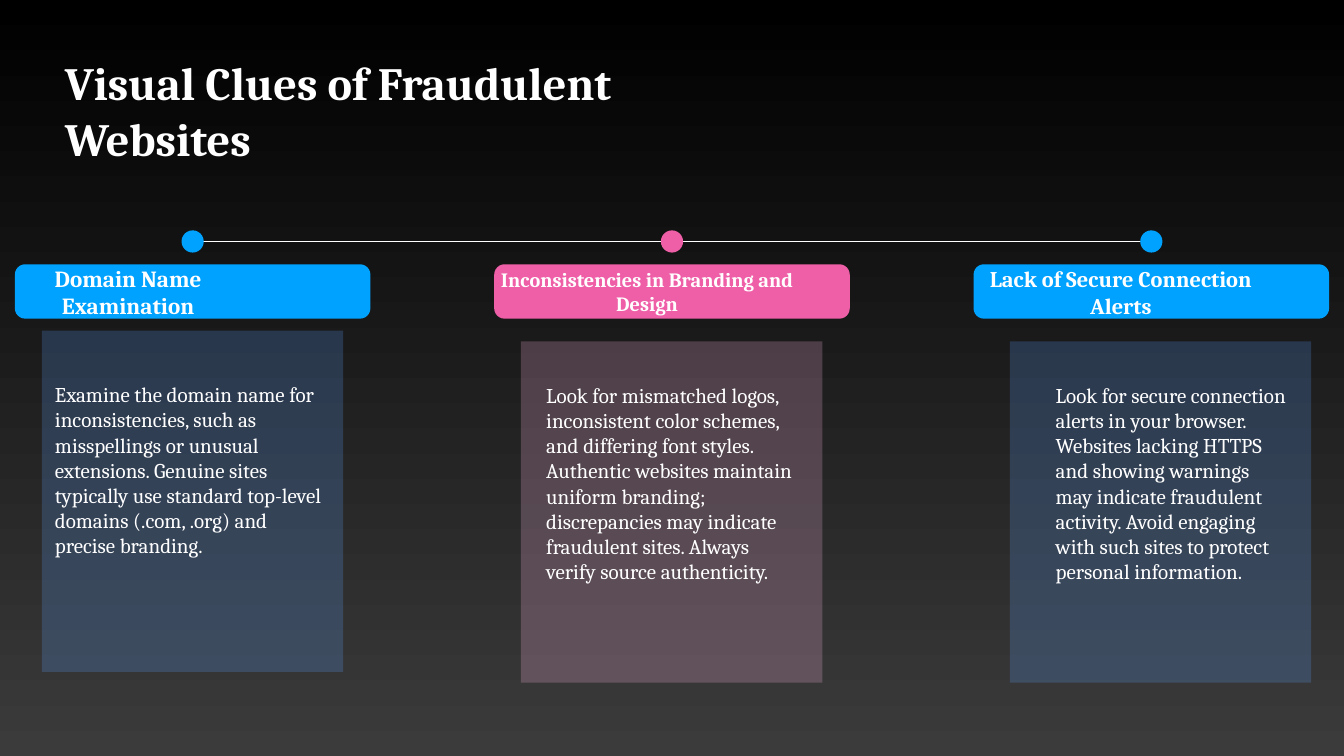
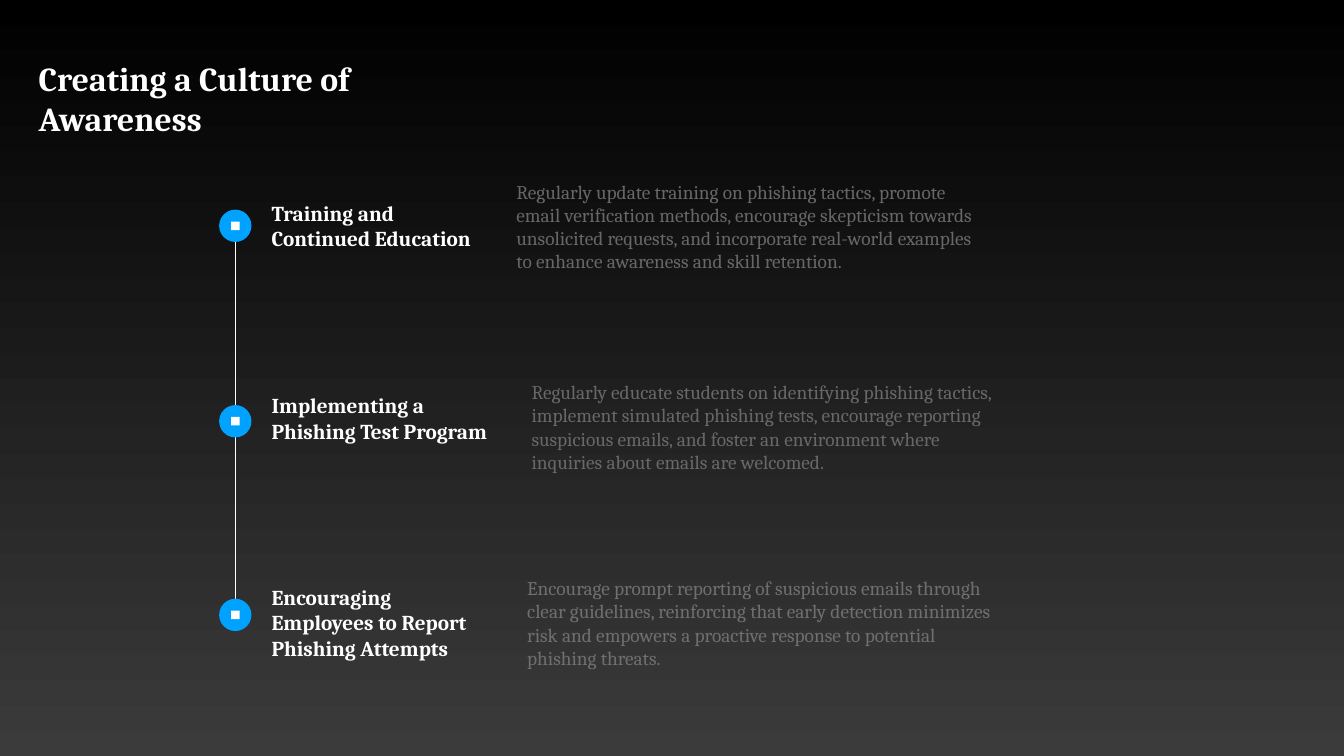
from lxml.etree import SubElement
from pptx import Presentation
from pptx.dml.color import RGBColor
from pptx.enum.shapes import MSO_CONNECTOR, MSO_SHAPE
from pptx.enum.text import MSO_ANCHOR, MSO_AUTO_SIZE, PP_ALIGN
from pptx.oxml.ns import qn
from pptx.util import Cm, Pt

COLOURS = {
    "black": "000000", "charcoal": "3B3B3B", "white": "FFFFFF",
    "blue": "00A2FF", "pink": "EF5FA8",
    "pale blue": "62A2FF", "pale pink": "FFBBE6",
    "grey 1": "676767", "grey 2": "686868", "grey 3": "6F6F6F",
}
RGB = {name: RGBColor.from_string(value) for name, value in COLOURS.items()}
FONT = "Cambria"


def write(box, place, text, size, before, colour="white", bold=False,
          align=PP_ALIGN.LEFT, insets=(0.2, 0.2)):
    """Place a text box or title and format its single paragraph."""
    box.left, box.top, box.width, box.height = [Cm(value) for value in place]
    frame = box.text_frame
    frame.text = text
    frame.word_wrap = True
    frame.auto_size = MSO_AUTO_SIZE.SHAPE_TO_FIT_TEXT
    frame.vertical_anchor = MSO_ANCHOR.MIDDLE
    frame.margin_left, frame.margin_right = [Cm(value) for value in insets]
    frame.margin_top = frame.margin_bottom = Cm(0.2)
    para = frame.paragraphs[0]
    para.alignment = align
    para.space_before = Pt(before)
    span = para.runs[0]
    span.font.name = FONT
    span.font.size = Pt(size)
    span.font.bold = bold
    span.font.color.rgb = RGB[colour]


def draw(page, kind, place, colour, opacity=100):
    """Add a flat filled shape, or a thin line when kind is a connector."""
    lengths = [Cm(value) for value in place]
    if isinstance(kind, MSO_CONNECTOR):
        line = page.shapes.add_connector(kind, *lengths)
        line.line.color.rgb = RGB[colour]
        line.line.width = Pt(1)
        SubElement(line._element.spPr, qn("a:effectLst"))
        return line
    shape = page.shapes.add_shape(kind, *lengths)
    shape.shadow.inherit = False
    shape.line.fill.background()
    shape.fill.solid()
    shape.fill.fore_color.rgb = RGB[colour]
    if opacity < 100:
        tint = shape._element.spPr.find(qn("a:solidFill"))[0]
        SubElement(tint, qn("a:alpha")).set("val", str(opacity * 1000))
    return shape


deck = Presentation()
deck.slide_width, deck.slide_height = Cm(67.74), Cm(38.1)
layout = deck.slide_layouts[5]

# Shared background: black fading down to charcoal
backdrop = deck.slide_master.background.fill
backdrop.gradient()
backdrop.gradient_angle = 270
for stop, colour, position in zip(backdrop.gradient_stops, ("black", "charcoal"), (0, 1)):
    stop.color.rgb = RGB[colour]
    stop.position = position

# Slide 1: three clues on a horizontal timeline
page = deck.slides.add_slide(layout)
write(page.shapes.title, (3.07, 3.94, 36.53, 3.23),
      "Visual Clues of Fraudulent Websites", 66, 39, bold=True)
draw(page, MSO_CONNECTOR.STRAIGHT, (9.88, 12.18, 57.86, 12.18), "white")

# Heading, its width, height, right inset, size and spacing; colours;
# panel corner; body place; body
clues = [
    ("Domain Name Examination", 14.27, 1.8, 6.5, 33, 24, "blue", "pale blue",
     (2.11, 16.66), (2.57, 18.92, 14.27, 9.53),
     "Examine the domain name for inconsistencies, such as misspellings or unusual "
     "extensions. Genuine sites typically use standard top-level domains (.com, .org) "
     "and precise branding."),
    ("Inconsistencies in Branding and Design", 17.6, 1.63, 2.51, 29, 20, "pink", "pale pink",
     (26.26, 17.2), (27.33, 18.92, 13.06, 10.85),
     "Look for mismatched logos, inconsistent color schemes, and differing font styles. "
     "Authentic websites maintain uniform branding; discrepancies may indicate "
     "fraudulent sites. Always verify source authenticity."),
    ("Lack of Secure Connection Alerts", 16.59, 1.73, 3.07, 32, 24, "blue", "pale blue",
     (50.9, 17.2), (53.01, 18.92, 12.17, 10.85),
     "Look for secure connection alerts in your browser. Websites lacking HTTPS and "
     "showing warnings may indicate fraudulent activity. Avoid engaging with such sites "
     "to protect personal information."),
]
for column, clue in enumerate(clues):
    (heading, width, height, inset, size, before, colour, tint,
     corner, body_place, body) = clue
    centre = 9.71 + 24.16 * column
    draw(page, MSO_SHAPE.OVAL, (centre - 0.56, 11.61, 1.12, 1.12), colour)
    pill = draw(page, MSO_SHAPE.ROUNDED_RECTANGLE, (centre - 8.96, 13.32, 17.92, 2.74), colour)
    pill.adjustments[0] = 0.19
    draw(page, MSO_SHAPE.RECTANGLE, (*corner, 15.19, 17.2), tint, opacity=22)
    write(page.shapes.add_textbox(0, 0, 0, 0),
          (centre - width / 2, 14.7 - height / 2, width, height),
          heading, size, before, bold=True, align=PP_ALIGN.CENTER, insets=(0, inset))
    write(page.shapes.add_textbox(0, 0, 0, 0), body_place, body, 30, 20)

# Slide 2: three steps on a vertical timeline
page = deck.slides.add_slide(layout)
write(page.shapes.title, (1.75, 2.01, 23.93, 5.89),
      "Creating a Culture of Awareness", 48, 39, bold=True)
draw(page, MSO_CONNECTOR.STRAIGHT, (11.86, 30.68, 11.86, 11.4), "white")

# Marker centre; heading top, width and height; body corner and colour; texts
steps = [
    (11.38, (9.88, 10.74, 3.0), (25.83, 8.79), "grey 1",
     "Training and Continued Education",
     "Regularly update training on phishing tactics, promote email verification methods, "
     "encourage skepticism towards unsolicited requests, and incorporate real-world "
     "examples to enhance awareness and skill retention."),
    (21.23, (19.56, 12.29, 3.0), (26.59, 18.9), "grey 2",
     "Implementing a Phishing Test Program",
     "Regularly educate students on identifying phishing tactics, implement simulated "
     "phishing tests, encourage reporting suspicious emails, and foster an environment "
     "where inquiries about emails are welcomed."),
    (30.99, (29.21, 11.3, 4.32), (26.37, 28.78), "grey 3",
     "Encouraging Employees to Report Phishing Attempts",
     "Encourage prompt reporting of suspicious emails through clear guidelines, "
     "reinforcing that early detection minimizes risk and empowers a proactive response "
     "to potential phishing threats."),
]
for middle, heading_place, corner, grey, heading, body in steps:
    for kind, side, colour in ((MSO_SHAPE.OVAL, 1.63, "blue"),
                               (MSO_SHAPE.RECTANGLE, 0.43, "white")):
        draw(page, kind, (11.86 - side / 2, middle - side / 2, side, side), colour)
    write(page.shapes.add_textbox(0, 0, 0, 0), (13.49, *heading_place),
          heading, 30.3, 21, bold=True)
    write(page.shapes.add_textbox(0, 0, 0, 0), (*corner, 24.28, 5.21),
          body, 27.65, 18, grey)

deck.save("out.pptx")
